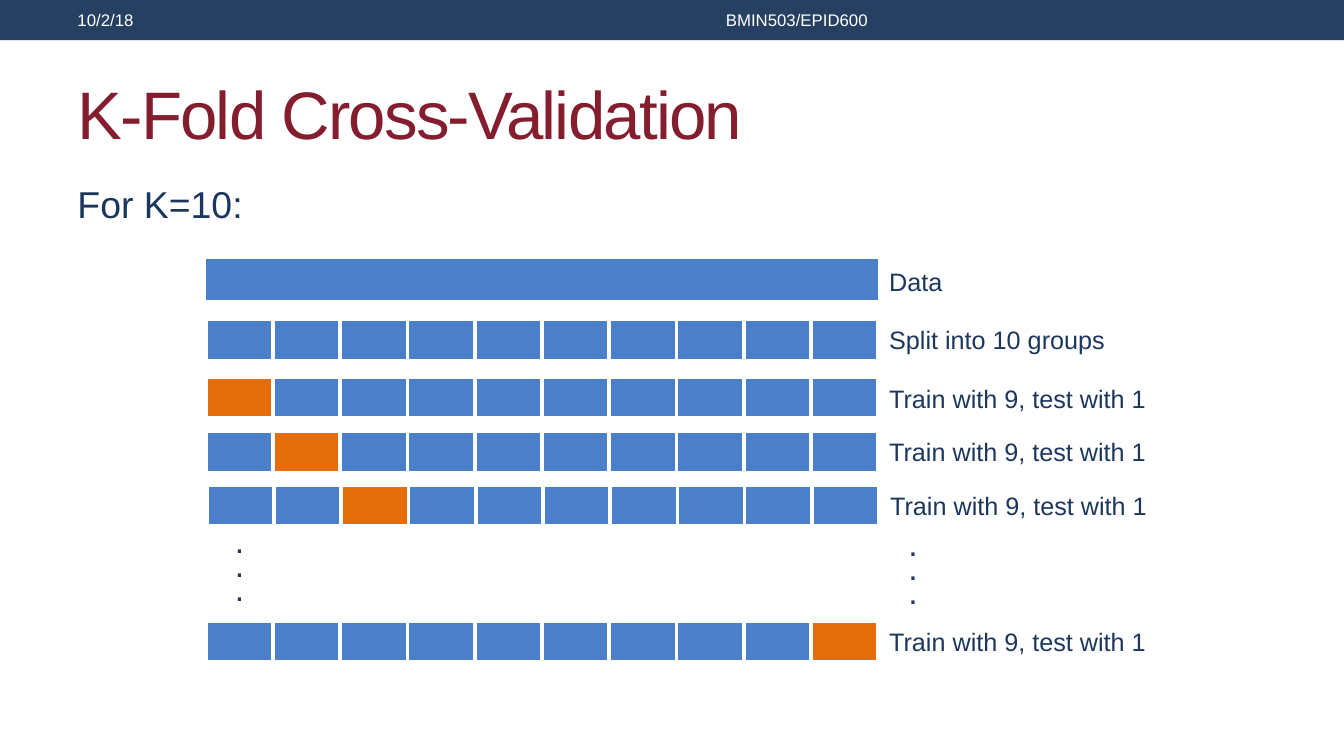
from lxml.etree import SubElement
from pptx import Presentation
from pptx.dml.color import RGBColor
from pptx.enum.shapes import MSO_SHAPE
from pptx.enum.text import MSO_ANCHOR, PP_ALIGN
from pptx.oxml.ns import qn
from pptx.util import Inches, Pt

BAND = "254061"
MAROON = "841D2D"
NAVY = "1C375E"
WHITE = "FFFFFF"
TRAIN = "4C7FCA"
TEST = "E46C0A"

FOLDS = 10
FOLD_WIDTH = 6.67 / FOLDS
FOLD_HEIGHT = 0.41
LABEL_OFFSET = 6.68

TRAIN_LABEL = "Train with 9, test with 1"
# left, top, label top, label, index of the test fold, visible borders
FOLD_ROWS = [
    (2.04, 2.57, 2.59, "Data", None, False),
    (2.04, 3.17, 3.17, "Split into 10 groups", None, True),
    (2.04, 3.74, 3.75, TRAIN_LABEL, 0, True),
    (2.04, 4.28, 4.28, TRAIN_LABEL, 1, True),
    (2.05, 4.81, 4.82, TRAIN_LABEL, 2, True),
    (2.04, 6.16, 6.16, TRAIN_LABEL, FOLDS - 1, True),
]


def color(value):
    return RGBColor.from_string(value)


def write_text(shape, lines, size, font_color, anchor=MSO_ANCHOR.TOP, wrap=True, **paragraph_format):
    """Fill a shape's text frame, one paragraph per line."""
    frame = shape.text_frame
    frame.word_wrap = wrap
    frame.vertical_anchor = anchor
    frame.text = "\n".join(lines)
    settings = {"alignment": PP_ALIGN.LEFT, **paragraph_format}
    for paragraph in frame.paragraphs:
        for name, value in settings.items():
            setattr(paragraph, name, value)
        for run in paragraph.runs:
            for name, value in {"name": "Arial", "size": Pt(size)}.items():
                setattr(run.font, name, value)
            run.font.color.rgb = color(font_color)


def add_text(slide, box, lines, size, font_color, **options):
    shape = slide.shapes.add_textbox(*map(Inches, box))
    write_text(shape, lines, size, font_color, **options)
    return shape


def add_header(slide, left, top, width, height):
    band = slide.shapes.add_shape(MSO_SHAPE.RECTANGLE, *map(Inches, (left, top, width, height)))
    band.shadow.inherit = False
    band.fill.solid()
    band.fill.fore_color.rgb = color(BAND)
    band.line.fill.background()
    text_top, text_height = top + 0.02, height - 0.04
    add_text(slide, (left + 0.67, text_top, 4.22, text_height), ["10/2/18"], 12, WHITE,
             anchor=MSO_ANCHOR.MIDDLE)
    course = add_text(slide, (left + 5, text_top, 6, text_height), ["BMIN503/EPID600"], 12, WHITE,
                      anchor=MSO_ANCHOR.MIDDLE, alignment=PP_ALIGN.CENTER)
    course.text_frame.margin_right = Inches(0.29)


def add_heading(slide, left, top, width, height):
    title = slide.shapes.title
    box = {"left": left, "top": top, "width": width, "height": height}
    for name, value in box.items():
        setattr(title, name, Inches(value))
    write_text(title, ["K-Fold Cross-Validation"], 48, MAROON, anchor=MSO_ANCHOR.MIDDLE)
    for properties in title.element.iter(qn("a:rPr")):
        properties.set("spc", "-130")
    add_text(slide, (left, top + 1.17, width, 5.33), ["For K=10:"], 26.7, NAVY,
             space_before=Pt(5.3))


def set_borders(table_frame, visible):
    """Give every cell white 3 pt borders, or none at all."""
    for properties in table_frame.element.iter(qn("a:tcPr")):
        for index, side in enumerate(("a:lnL", "a:lnR", "a:lnT", "a:lnB")):
            line = properties.makeelement(qn(side), {"w": str(Pt(3) if visible else 0)})
            properties.insert(index, line)
            if visible:
                fill = SubElement(line, qn("a:solidFill"))
                SubElement(fill, qn("a:srgbClr"), val=WHITE)
            else:
                SubElement(line, qn("a:noFill"))


def add_fold_row(slide, left, top, label_top, label, test_fold, bordered):
    frame = slide.shapes.add_table(1, FOLDS, Inches(left), Inches(top),
                                   Inches(FOLD_WIDTH * FOLDS), Inches(FOLD_HEIGHT))
    table = frame.table
    table.first_row = False
    table.horz_banding = False
    for index, column in enumerate(table.columns):
        column.width = Inches(FOLD_WIDTH)
        cell = table.cell(0, index)
        cell.fill.solid()
        cell.fill.fore_color.rgb = color(TEST if index == test_fold else TRAIN)
    set_borders(frame, bordered)
    add_text(slide, (left + LABEL_OFFSET, label_top, 2.79, 0.4), [label], 18, NAVY, wrap=False)


def add_ellipsis(slide, left, top):
    add_text(slide, (left, top, 0.29, 0.84), ["."] * 3, 24, NAVY, wrap=False, line_spacing=0.6)


def main():
    presentation = Presentation()
    presentation.slide_width = Inches(13.33)
    presentation.slide_height = Inches(7.5)
    slide = presentation.slides.add_slide(presentation.slide_layouts[5])
    add_header(slide, 0, 0, 13.33, 0.4)
    add_heading(slide, 0.67, 0.58, 12, 1.08)
    for row in FOLD_ROWS:
        add_fold_row(slide, *row)
    add_ellipsis(slide, 2.23, 5.25)
    add_ellipsis(slide, 8.91, 5.28)
    presentation.save("out.pptx")


if __name__ == "__main__":
    main()
